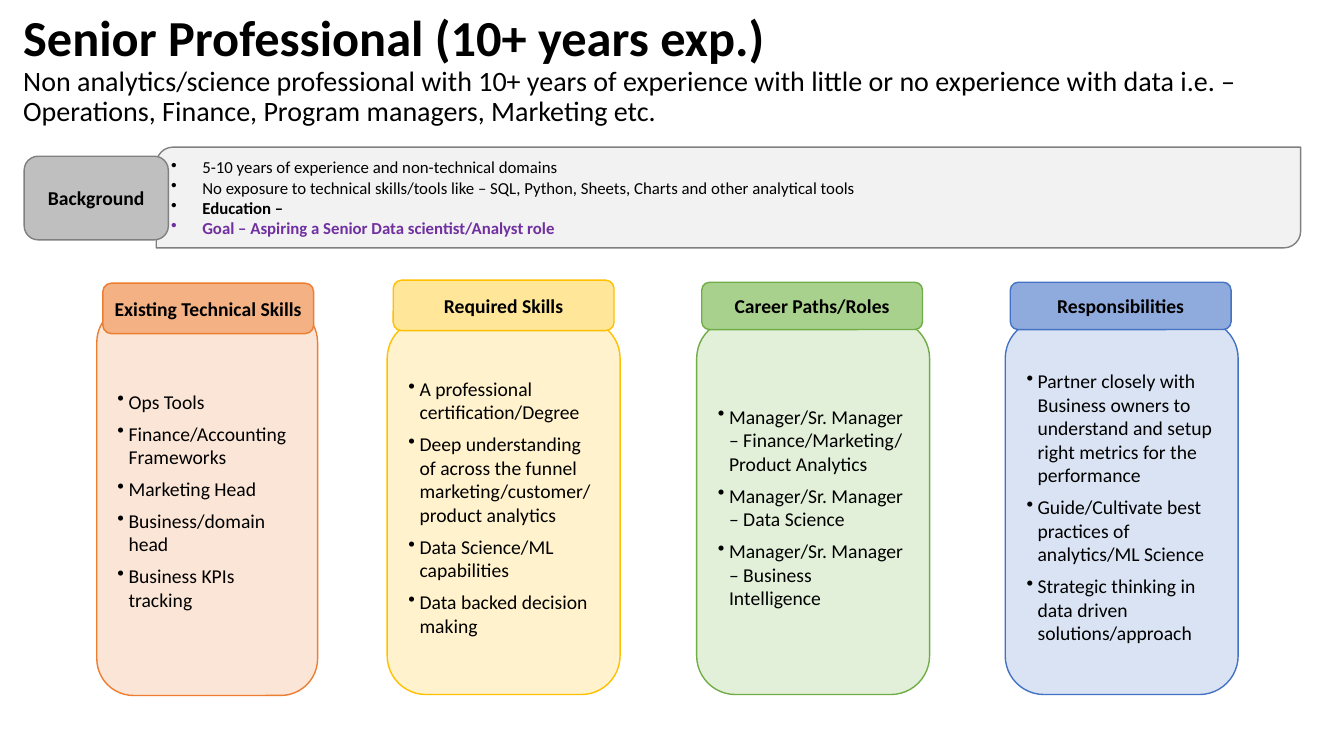
from lxml import etree
from pptx import Presentation
from pptx import util as u
from pptx.dml.color import RGBColor
from pptx.enum import shapes, text
from pptx.oxml.ns import qn

ROUND = shapes.MSO_SHAPE.ROUNDED_RECTANGLE


def rgb(value):
    return RGBColor.from_string(value)


def add_box(s, kind, box, fill, line, lines, size, indent=0, after=0):
    """Outlined box: a bulleted list when indent is set, else a bold label."""
    sp = s.shapes.add_shape(kind, *[u.Inches(v) for v in box])
    sp.shadow.inherit = False
    sp.fill.solid()
    sp.fill.fore_color.rgb = rgb(fill)
    sp.line.color.rgb = rgb(line)
    sp.line.width = u.Pt(1)
    tf = sp.text_frame
    tf.word_wrap = True
    tf.vertical_anchor = text.MSO_ANCHOR.MIDDLE
    if not indent:
        tf.margin_left = tf.margin_right = tf.margin_top = tf.margin_bottom = 0
    tf.text = "\n".join(lines)
    for p in tf.paragraphs:
        p.alignment = text.PP_ALIGN.LEFT if indent else text.PP_ALIGN.CENTER
        p.space_after = u.Pt(after)
        p.font.name = "Calibri"
        p.font.size = u.Pt(size)
        p.font.bold = not indent
        p.font.color.rgb = rgb("000000")
        if indent:
            pPr = p._p.get_or_add_pPr()
            pPr.set("marL", str(u.Inches(indent)))
            pPr.set("indent", str(-u.Inches(indent)))
            bullet = etree.Element(qn("a:buChar"), char="•")
            pPr.find(qn("a:defRPr")).addprevious(bullet)
    return tf


prs = Presentation()
prs.slide_width = u.Inches(13.33)
prs.slide_height = u.Inches(7.5)
s = prs.slides.add_slide(prs.slide_layouts[5])

# Title with its subtitle line
title = s.shapes.title
title.left, title.top = u.Inches(0.13), u.Inches(0.12)
title.width, title.height = u.Inches(13.06), u.Inches(1.15)
tf = title.text_frame
tf.word_wrap = True
tf.auto_size = text.MSO_AUTO_SIZE.NONE
tf.vertical_anchor = text.MSO_ANCHOR.MIDDLE
p = tf.paragraphs[0]
p.alignment = text.PP_ALIGN.LEFT
p.line_spacing = 0.9
p.font.name = "Calibri"
p.font.color.rgb = rgb("000000")
r = p.add_run()
r.text = "Senior Professional (10+ years exp.)"
r.font.size, r.font.bold = u.Pt(36), True
p.add_line_break()
r = p.add_run()
r.text = ("Non analytics/science professional with 10+ years of experience with little or no "
          "experience with data i.e. – Operations, Finance, Program managers, Marketing etc.")
r.font.size, r.font.bold = u.Pt(20), False

# Background band and its label
background = [
    "5-10 years of experience and non-technical domains",
    "No exposure to technical skills/tools like – SQL, Python, Sheets, Charts and other analytical tools",
    "Education –",
    "Goal – Aspiring a Senior Data scientist/Analyst role",
]
tf = add_box(s, shapes.MSO_SHAPE.ROUND_2_DIAG_RECTANGLE, (1.55, 1.46, 11.35, 1),
             "F2F2F2", "808080", background, 12, indent=0.31)
education, goal = tf.paragraphs[2:]
education.font.bold = goal.font.bold = True
goal.font.color.rgb = rgb("7030A0")
add_box(s, ROUND, (0.24, 1.55, 1.43, 0.83), "BFBFBF", "808080", ["Background"], 14)

# Four columns: heading, heading box, body box, heading fill, body fill, line, items
columns = [
    ("Existing Technical Skills", (1.02, 2.81, 2.09, 0.5), (0.96, 3.03, 2.19, 3.87),
     "F4B183", "FBE5D6", "ED7D31",
     ["Ops Tools", "Finance/Accounting Frameworks", "Marketing Head",
      "Business/domain head", "Business KPIs tracking"]),
    ("Required Skills", (3.9, 2.78, 2.19, 0.5), (3.84, 3.17, 2.31, 3.72),
     "FFE699", "FFF2CC", "FFC000",
     ["A professional certification/Degree",
      "Deep understanding of across the funnel marketing/customer/product analytics",
      "Data Science/ML capabilities", "Data backed decision making"]),
    ("Career Paths/Roles", (6.96, 2.8, 2.19, 0.47), (6.91, 3.17, 2.31, 3.72),
     "A9D18E", "E2F0D9", "70AD47",
     ["Manager/Sr. Manager – Finance/Marketing/ Product Analytics",
      "Manager/Sr. Manager – Data Science",
      "Manager/Sr. Manager – Business Intelligence"]),
    ("Responsibilities", (10.02, 2.8, 2.19, 0.47), (9.97, 3.17, 2.31, 3.72),
     "8FAADC", "DAE3F3", "4472C4",
     ["Partner closely with Business owners to understand and setup right metrics for the performance",
      "Guide/Cultivate best practices of analytics/ML Science",
      "Strategic thinking in data driven solutions/approach"]),
]
for heading, head_box, body_box, head_fill, body_fill, line, items in columns:
    add_box(s, ROUND, body_box, body_fill, line, items, 14, indent=0.11, after=6)
    add_box(s, ROUND, head_box, head_fill, line, [heading], 14)

prs.save("out.pptx")
